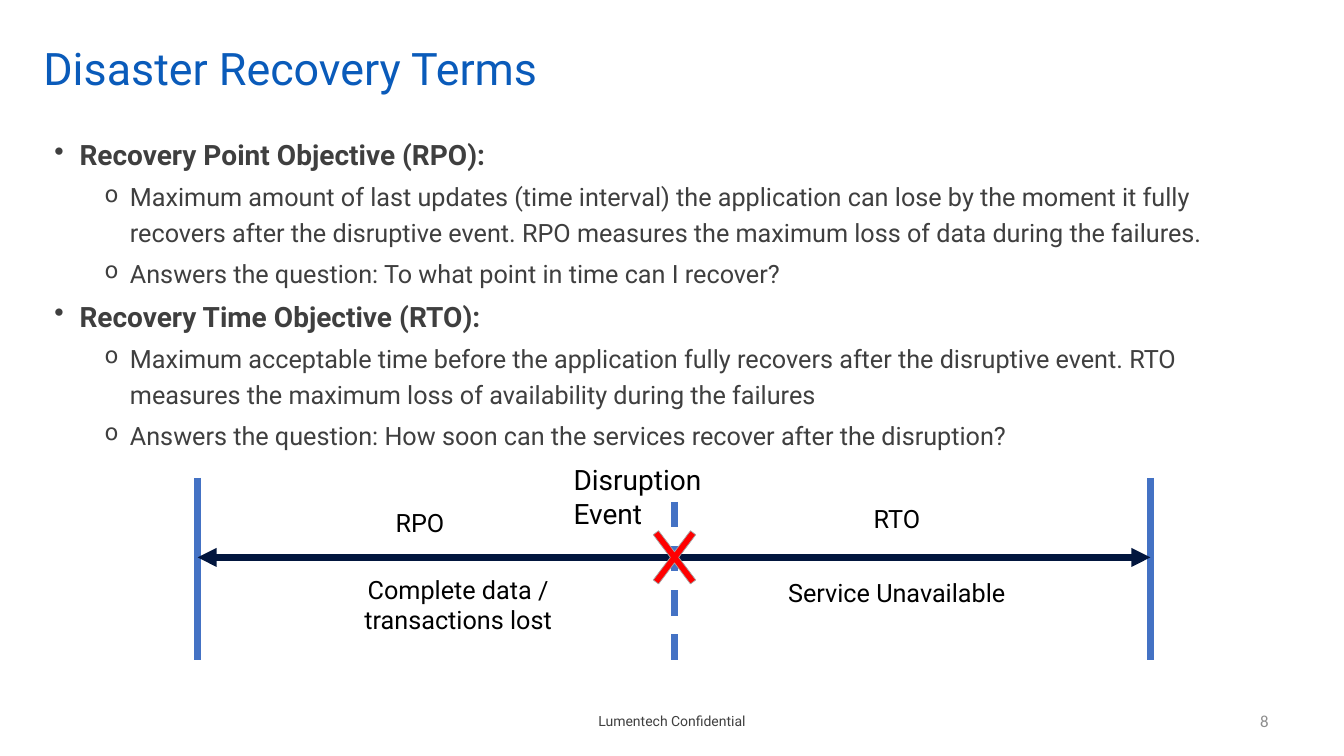
from pptx import Presentation
from pptx.dml.color import RGBColor
from pptx.enum.dml import MSO_LINE
from pptx.enum.shapes import MSO_CONNECTOR, MSO_SHAPE
from pptx.enum.text import MSO_ANCHOR, MSO_AUTO_SIZE, PP_ALIGN
from pptx.oxml.ns import qn
from pptx.util import Inches, Pt
from lxml.etree import SubElement

# Content
TITLE = "Disaster Recovery Terms"
TERMS = [
    ("Recovery Point Objective (RPO):", [
        "Maximum amount of last updates (time interval) the application can lose by the moment it fully "
        "recovers after the disruptive event. RPO measures the maximum loss of data during the failures.",
        "Answers the question: To what point in time can I recover?",
    ]),
    ("Recovery Time Objective (RTO):", [
        "Maximum acceptable time before the application fully recovers after the disruptive event. RTO "
        "measures the maximum loss of availability during the failures",
        "Answers the question: How soon can the services recover after the disruption?",
    ]),
]
# Text, left, top, width, height, size, alignment
TIMELINE_LABELS = [
    ("RPO", 3.22, 4.98, 1.89, 0.4, 18, PP_ALIGN.CENTER),
    ("RTO", 7.95, 4.94, 1.89, 0.4, 18, PP_ALIGN.CENTER),
    ("Disruption Event", 5.59, 4.54, 2.2, 0.77, 20, PP_ALIGN.LEFT),
    ("Complete data / transactions lost", 2.93, 5.65, 3.23, 0.71, 18, PP_ALIGN.CENTER),
    ("Service Unavailable", 7.28, 5.68, 3.23, 0.4, 18, PP_ALIGN.CENTER),
]
FOOTER = "Lumentech Confidential"
PAGE_NUMBER = "8"

# Colours and timeline geometry
TITLE_BLUE, BODY_GRAY, NUMBER_GRAY = "0A5BBA", "3F3F3F", "8C8C8C"
MARKER_BLUE, ARROW_NAVY, BLACK = "4472C4", "02163E", "000000"
START, EVENT, END = 1.96, 6.69, 11.41
TOP, EVENT_TOP, AXIS, BOTTOM = 4.74, 4.98, 5.53, 6.55
CROSS_WIDTH, CROSS_HEIGHT = 0.71, 0.94


def color(value):
    return RGBColor.from_string(value)


def format_para(para, size, value, font="Roboto", align=PP_ALIGN.LEFT, bold=False):
    para.alignment = align
    for span in para.runs:
        span.font.name = font
        span.font.size = Pt(size)
        span.font.bold = bold
        span.font.color.rgb = color(value)


def add_text(text, left, top, width, height, size, align, value=BLACK, font="Roboto",
             anchor=MSO_ANCHOR.TOP):
    box = page.shapes.add_textbox(Inches(left), Inches(top), Inches(width), Inches(height))
    frame = box.text_frame
    frame.word_wrap = True
    frame.vertical_anchor = anchor
    frame.text = text
    format_para(frame.paragraphs[0], size, value, font, align)


def set_bullet(para, symbol, margin, percent):
    props = para._p.get_or_add_pPr()
    props.set("marL", str(Inches(margin)))
    props.set("indent", str(-Inches(0.25)))
    SubElement(props, qn("a:buSzPct")).set("val", str(percent * 1000))
    SubElement(props, qn("a:buChar")).set("char", symbol)


def add_line(x1, y1, x2, y2, value, dashed=False, arrow=False):
    line = page.shapes.add_connector(
        MSO_CONNECTOR.STRAIGHT, Inches(x1), Inches(y1), Inches(x2), Inches(y2))
    line.line.color.rgb = color(value)
    line.line.width = Pt(4.5)
    if dashed:
        line.line.dash_style = MSO_LINE.DASH
    if arrow:
        SubElement(line.line._get_or_add_ln(), qn("a:tailEnd")).set("type", "triangle")
    SubElement(line._element.spPr, qn("a:effectLst"))


deck = Presentation()
deck.slide_width, deck.slide_height = Inches(13.33), Inches(7.5)
page = deck.slides.add_slide(deck.slide_layouts[5])

# Title
title = page.shapes.title
title.left, title.top, title.width, title.height = (Inches(n) for n in (0.33, 0.33, 12.33, 0.75))
title.text_frame.text = TITLE
title.text_frame.auto_size = MSO_AUTO_SIZE.NONE
title.text_frame.vertical_anchor = MSO_ANCHOR.MIDDLE
title.text_frame.paragraphs[0].line_spacing = 0.9
format_para(title.text_frame.paragraphs[0], 32, TITLE_BLUE)

# Definitions
body = page.shapes.add_textbox(Inches(0.44), Inches(1.25), Inches(12.22), Inches(5.42))
body.text_frame.word_wrap = True
lines = [(text, level) for term, details in TERMS
         for text, level in [(term, 0)] + [(detail, 1) for detail in details]]
body.text_frame.text = "\n".join(text for text, level in lines)
for para, (text, level) in zip(body.text_frame.paragraphs, lines):
    para.level = level
    para.line_spacing = 1.2
    para.space_after = Pt(3)
    format_para(para, 18 if level else 20, BODY_GRAY, bold=not level)
    set_bullet(para, "o" if level else "•", 0.75 if level else 0.25, 90 if level else 100)

# Timeline
for x in (START, END):
    add_line(x, TOP, x, BOTTOM, MARKER_BLUE)
add_line(EVENT, EVENT_TOP, EVENT, BOTTOM, MARKER_BLUE, dashed=True)
for x in (START, END):
    add_line(EVENT, AXIS, x, AXIS, ARROW_NAVY, arrow=True)

# Disruption cross
cross = page.shapes.add_shape(
    MSO_SHAPE.MATH_MULTIPLY, Inches(EVENT - CROSS_WIDTH / 2), Inches(AXIS - CROSS_HEIGHT / 2),
    Inches(CROSS_WIDTH), Inches(CROSS_HEIGHT))
cross.adjustments[0] = 0.093
cross.shadow.inherit = False
cross.fill.solid()
cross.fill.fore_color.rgb = color("FF0000")
cross.line.color.rgb = color("A5A5A5")
cross.line.width = Pt(0.5)

for label in TIMELINE_LABELS:
    add_text(*label)

# Footer
add_text(FOOTER, 5.11, 6.95, 3.11, 0.4, 10, PP_ALIGN.CENTER, BODY_GRAY, anchor=MSO_ANCHOR.MIDDLE)
add_text(PAGE_NUMBER, 9.68, 6.95, 3, 0.4, 12, PP_ALIGN.RIGHT, NUMBER_GRAY, "Calibri",
         MSO_ANCHOR.MIDDLE)

deck.save("out.pptx")
